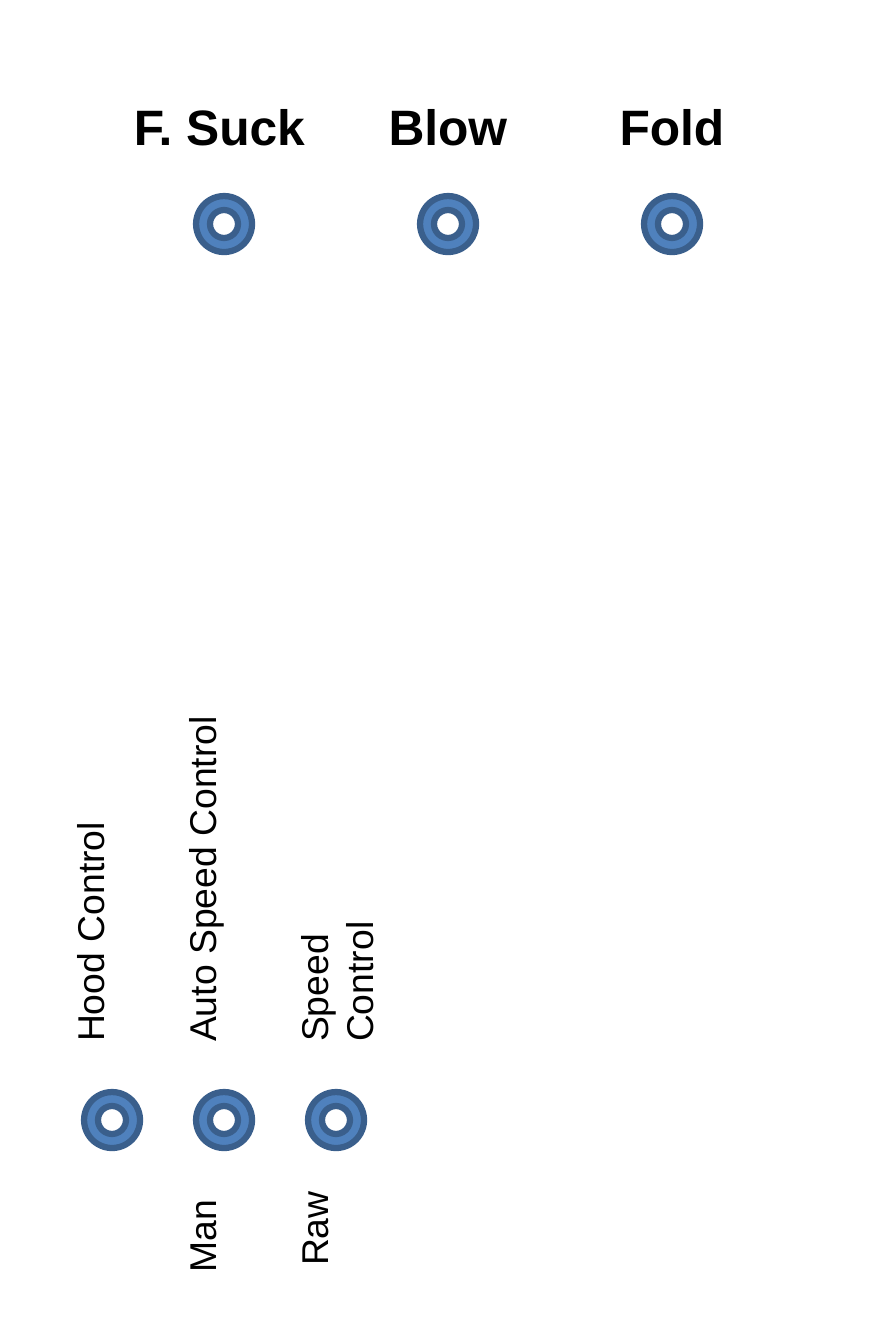
from pptx import Presentation
from pptx import util as u
from pptx.dml.color import RGBColor
from pptx.enum import shapes, text

BLACK = RGBColor(0x00, 0x00, 0x00)
BLUE = RGBColor(0x4F, 0x81, 0xBD)
DARK_BLUE = RGBColor(0x3A, 0x5F, 0x8C)
GRID = 2.54
KNOB = 0.25


def grid(n):
    """Return the length of n panel grid units."""
    return u.Cm(n * GRID)


def add_text(s, content, x, y, w, h, size=12, bold=False,
             align=text.PP_ALIGN.LEFT, vertical=False):
    """Add a text box, optionally reading upwards."""
    sp = s.shapes.add_textbox(grid(x), grid(y), grid(w), grid(h))
    tf = sp.text_frame
    tf.word_wrap = True
    tf.auto_size = text.MSO_AUTO_SIZE.SHAPE_TO_FIT_TEXT
    if vertical:
        tf._txBody.bodyPr.set("vert", "vert270")
    p = tf.paragraphs[0]
    p.alignment = align
    r = p.add_run()
    r.text = content
    r.font.name = "Arial"
    r.font.size = u.Pt(size)
    r.font.bold = bold
    r.font.color.rgb = BLACK
    return sp


def add_knob(s, x, y):
    """Add a ring centred on a grid point."""
    sp = s.shapes.add_shape(shapes.MSO_SHAPE.DONUT, grid(x - KNOB / 2),
                            grid(y - KNOB / 2), grid(KNOB), grid(KNOB))
    sp.shadow.inherit = False
    sp.fill.solid()
    sp.fill.fore_color.rgb = BLUE
    sp.line.color.rgb = DARK_BLUE
    sp.line.width = u.Pt(2)
    return sp


def main():
    """Build the control panel slide."""
    prs = Presentation()
    prs.slide_width, prs.slide_height = grid(4), grid(6)
    s = prs.slides.add_slide(prs.slide_layouts[6])

    left, center = text.PP_ALIGN.LEFT, text.PP_ALIGN.CENTER
    modes = [("F. Suck", left), ("Blow", center), ("Fold", center)]
    for x, (name, align) in enumerate(modes, start=1):
        add_knob(s, x, 1)
        add_text(s, name, x - 0.5, 0.38, 1, 0.37, size=16, bold=True, align=align)

    controls = [("Hood Control", 1.25), ("Auto Speed Control", 1.75),
                ("Speed Control", 1.25)]
    for i, (name, length) in enumerate(controls, start=1):
        x = i * 0.5
        add_knob(s, x, 5)
        add_text(s, name, x - 0.25, 4.75 - length, 0.5, length, vertical=True)

    for name, x, y, w in [("Man", 0.75, 5.03, 0.4), ("Raw", 1.25, 5, 0.5)]:
        add_text(s, name, x, y, w, 0.75, vertical=True)

    prs.save("out.pptx")


main()
